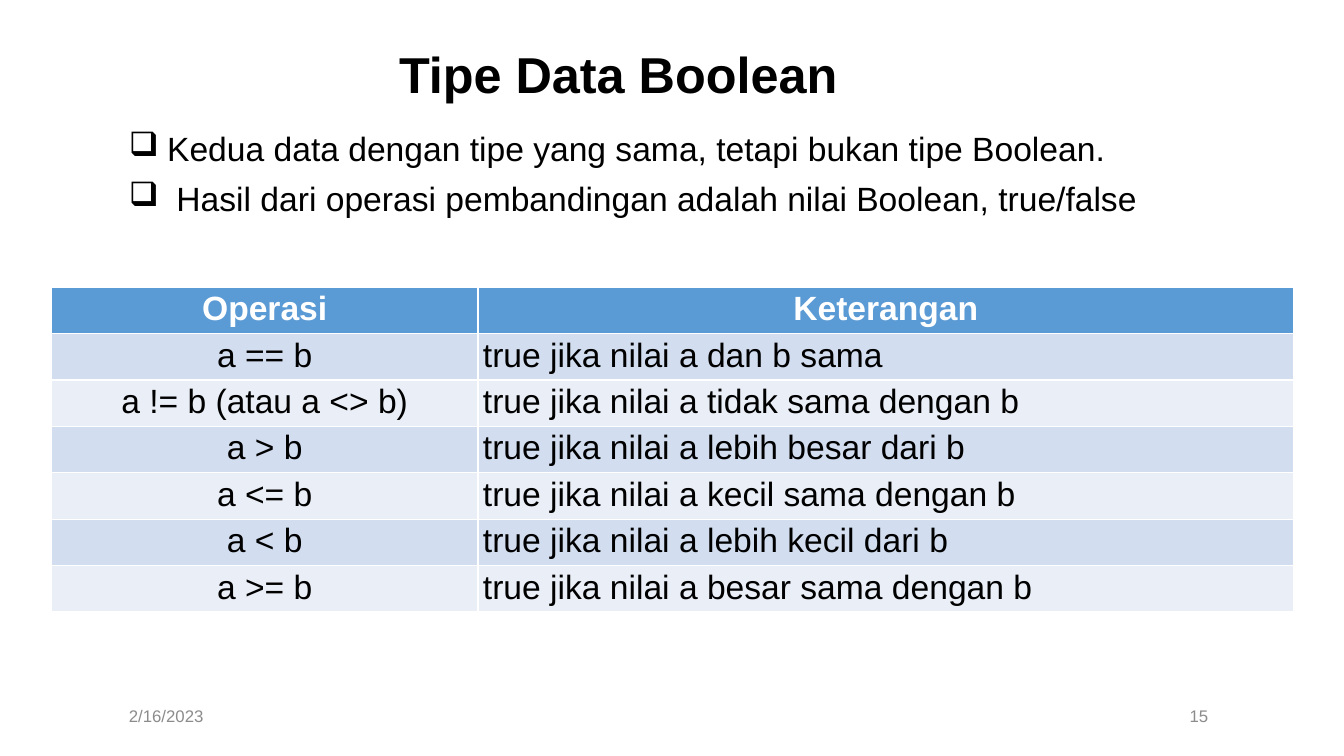
"""Build a slide on the Boolean data type with a table of comparisons."""
from lxml import etree
from pptx import Presentation
from pptx import util as u
from pptx.dml.color import RGBColor
from pptx.enum import text
from pptx.oxml.ns import qn

BLACK = RGBColor(0x00, 0x00, 0x00)
WHITE = RGBColor(0xFF, 0xFF, 0xFF)
GRAY = RGBColor(0x8C, 0x8C, 0x8C)
BLUE = RGBColor(0x5B, 0x9B, 0xD5)
BANDS = [RGBColor(0xEA, 0xEF, 0xF7), RGBColor(0xD2, 0xDE, 0xEF)]
LEFT, MID, RIGHT = text.PP_ALIGN.LEFT, text.PP_ALIGN.CENTER, text.PP_ALIGN.RIGHT

deck = Presentation()
deck.slide_width, deck.slide_height = u.Inches(13.33), u.Inches(7.5)
col, row = deck.slide_width / 100, deck.slide_height / 100
slide = deck.slides.add_slide(deck.slide_layouts[6])
EDGE = 8.85


def style(para, words, size, color, align=LEFT, bold=False):
    para.text = words
    para.alignment = align
    font = para.font
    font.name, font.size, font.bold = "Arial", u.Pt(size), bold
    font.color.rgb = color


def frame(left, top, width, height, anchor=text.MSO_ANCHOR.MIDDLE):
    box = slide.shapes.add_textbox(
        int(left * col), int(top * row), int(width * col), int(height * row))
    body = box.text_frame
    body.word_wrap = True
    body.vertical_anchor = anchor
    return body


points = [
    "Kedua data dengan tipe yang sama, tetapi bukan tipe Boolean.",
    " Hasil dari operasi pembandingan adalah nilai Boolean, true/false",
]
body = frame(EDGE, 16.8, 84.32, 73.2, text.MSO_ANCHOR.TOP)
for i, point in enumerate(points):
    para = body.add_paragraph() if i else body.paragraphs[0]
    style(para, point, 24, BLACK)
    para.line_spacing = 0.9
    para.space_before = u.Pt(10)
    props = para._p.get_or_add_pPr()
    props.set("marL", str(u.Inches(0.38)))
    props.set("indent", str(-u.Inches(0.38)))
    mark = etree.Element(qn("a:buChar"), char="❑")
    props.find(qn("a:spcBef")).addnext(mark)

style(frame(EDGE, 92, 11.33, 5.33).paragraphs[0], "2/16/2023", 12, GRAY)
style(frame(20.63, 92, 70, 5.33).paragraphs[0], "15", 12, GRAY, RIGHT)

title = frame(EDGE, 5.33, 74.34, 9.87).paragraphs[0]
style(title, "Tipe Data Boolean", 36, BLACK, MID, True)
title.line_spacing = 0.9

rules = [
    ("Operasi", "Keterangan"),
    ("a == b", "true jika nilai a dan b sama"),
    ("a != b (atau a <> b)", "true jika nilai a tidak sama dengan b"),
    ("a > b", "true jika nilai a lebih besar dari b"),
    ("a <= b", "true jika nilai a kecil sama dengan b"),
    ("a < b", "true jika nilai a lebih kecil dari b"),
    ("a >= b", "true jika nilai a besar sama dengan b"),
]
widths = [31.73, 60.69]
table = slide.shapes.add_table(
    len(rules), len(widths), int(3.83 * col), int(38 * row),
    int(sum(widths) * col), int(6 * len(rules) * row)).table
for j, width in enumerate(widths):
    table.columns[j].width = int(width * col)
for i, rule in enumerate(rules):
    head = i == 0
    for j, words in enumerate(rule):
        cell = table.cell(i, j)
        cell.margin_left = cell.margin_right = u.Inches(0.05)
        cell.margin_top = cell.margin_bottom = u.Inches(0.03)
        cell.fill.solid()
        cell.fill.fore_color.rgb = BLUE if head else BANDS[i % 2]
        style(cell.text_frame.paragraphs[0], words, 24,
              WHITE if head else BLACK, MID if head or j == 0 else LEFT, head)

deck.save("out.pptx")
